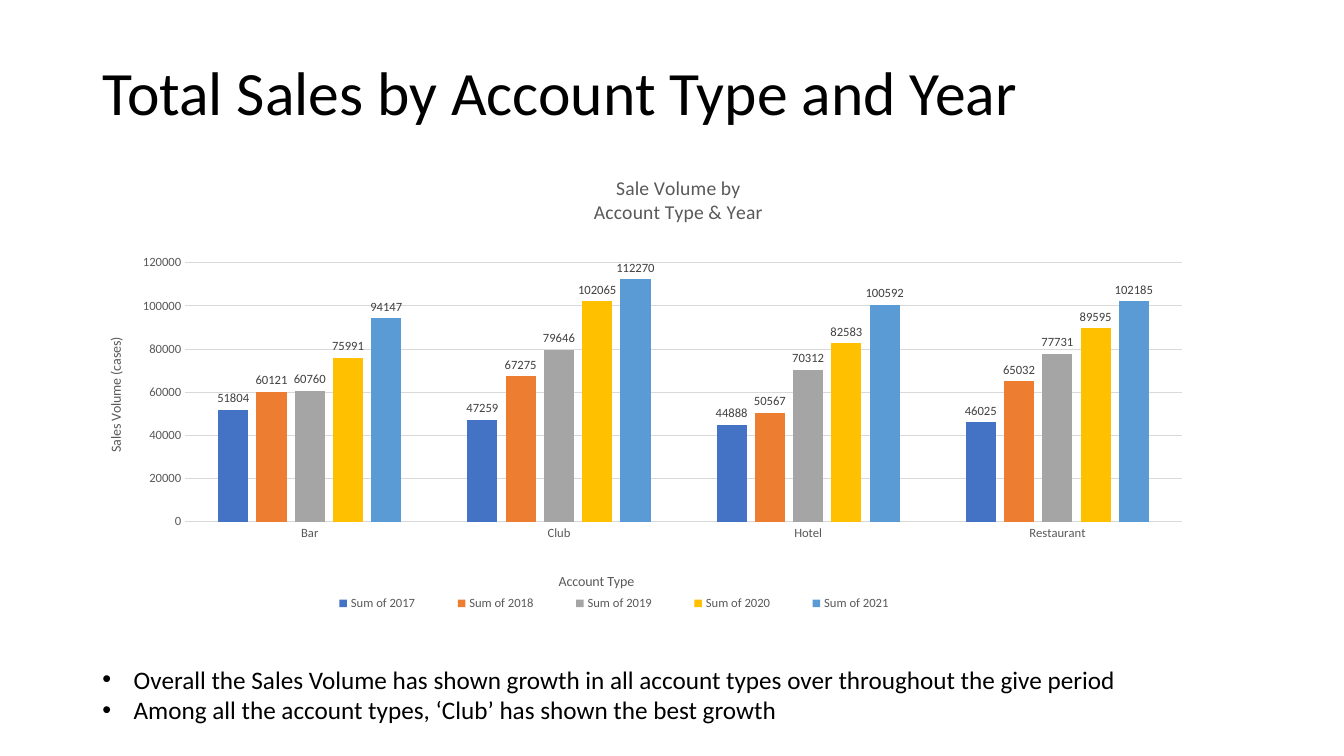
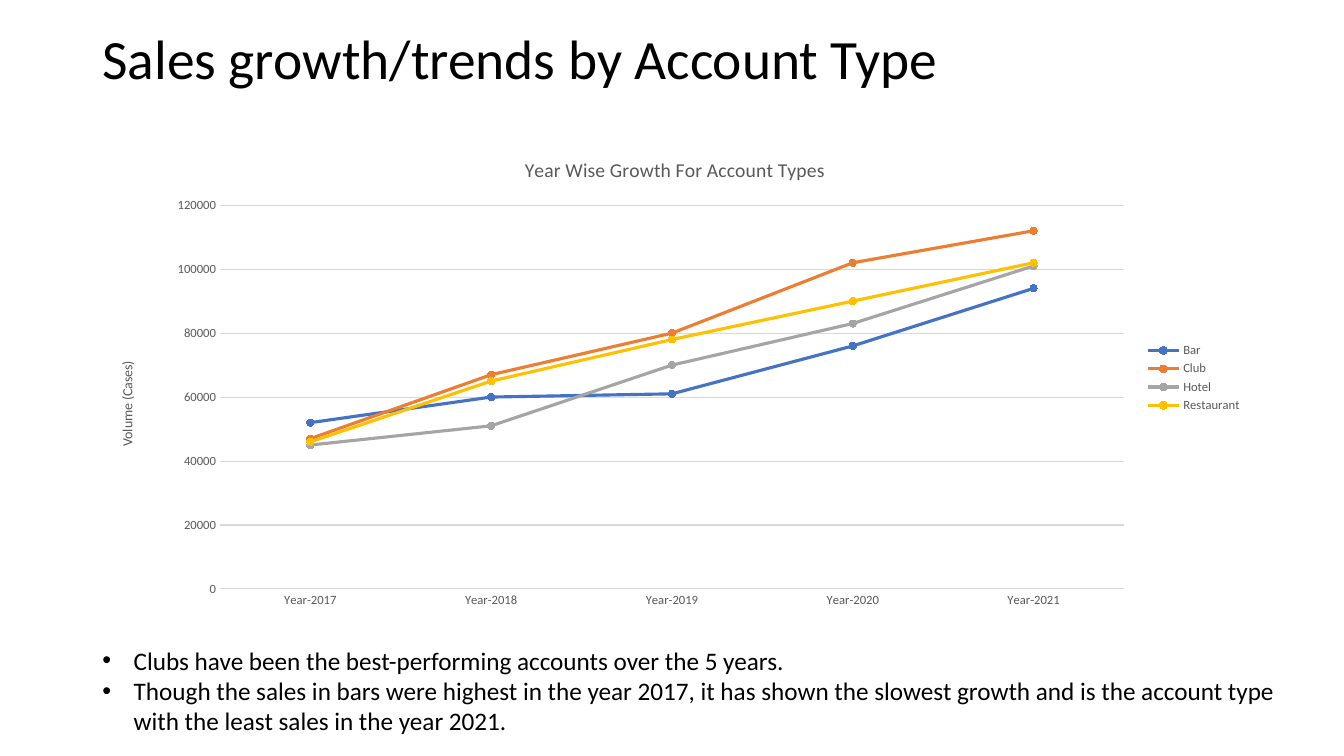
from lxml.etree import SubElement
from pptx import Presentation
from pptx.chart.data import CategoryChartData
from pptx.dml.color import RGBColor
from pptx.enum.chart import (XL_CHART_TYPE, XL_LABEL_POSITION,
                             XL_LEGEND_POSITION, XL_MARKER_STYLE, XL_TICK_MARK)
from pptx.enum.text import MSO_ANCHOR, MSO_AUTO_SIZE, PP_ALIGN
from pptx.oxml.ns import qn
from pptx.util import Cm, Pt

BLACK = RGBColor(0x00, 0x00, 0x00)
DARK = RGBColor(0x40, 0x40, 0x40)
GREY = RGBColor(0x59, 0x59, 0x59)
RULE = RGBColor(0xD9, 0xD9, 0xD9)
BLUE = RGBColor(0x44, 0x72, 0xC4)
ORANGE = RGBColor(0xED, 0x7D, 0x31)
SILVER = RGBColor(0xA5, 0xA5, 0xA5)
GOLD = RGBColor(0xFF, 0xC0, 0x00)
SKY = RGBColor(0x5B, 0x9B, 0xD5)
COLORS = [BLUE, ORANGE, SILVER, GOLD, SKY]

FONT = "Calibri"
LEFT = Cm(2.33)
WIDTH = Cm(29.21)

YEARS = [2017, 2018, 2019, 2020, 2021]
SALES = {
    "Bar": [51804, 60121, 60760, 75991, 94147],
    "Club": [47259, 67275, 79646, 102065, 112270],
    "Hotel": [44888, 50567, 70312, 82583, 100592],
    "Restaurant": [46025, 65032, 77731, 89595, 102185],
}


def style(font, size, color):
    font.name = FONT
    font.size = Pt(size)
    font.bold = False
    font.color.rgb = color


def place(node, spot, inner=False):
    """Set a chart part at fractions of the chart: x, y and maybe w, h."""
    for old in node.findall(qn("c:layout")):
        node.remove(old)
    after = node.find(qn("c:overlay"))
    index = 0 if after is None else node.index(after)
    layout = node.makeelement(qn("c:layout"))
    node.insert(index, layout)
    manual = SubElement(layout, qn("c:manualLayout"))
    pairs = [("layoutTarget", "inner")] if inner else []
    pairs += [("xMode", "edge"), ("yMode", "edge")]
    pairs += zip("xywh", spot)
    for tag, value in pairs:
        SubElement(manual, qn("c:" + tag)).set("val", str(value))


class Deck:
    def __init__(self):
        self.prs = Presentation()
        self.prs.slide_width = Cm(33.87)
        self.prs.slide_height = Cm(19.05)
        self.slide = None

    def title(self, text, top, size):
        """Start a slide with its title."""
        self.slide = self.prs.slides.add_slide(self.prs.slide_layouts[5])
        box = self.slide.shapes.title
        box.left, box.top, box.width, box.height = LEFT, top, WIDTH, Cm(2.82)
        frame = box.text_frame
        frame.auto_size = MSO_AUTO_SIZE.NONE
        frame.vertical_anchor = MSO_ANCHOR.MIDDLE
        para = frame.paragraphs[0]
        para.alignment = PP_ALIGN.LEFT
        para.line_spacing = 0.9
        run = para.add_run()
        run.text = text
        style(run.font, size, BLACK)

    def chart(self, kind, top, cats, series, plot):
        data = CategoryChartData()
        data.categories = cats
        for name, values in series:
            data.add_series(name, values)
        frame = self.slide.shapes.add_chart(kind, LEFT, top, WIDTH, Cm(12.09), data)
        chart = frame.chart
        style(chart.font, 10, BLACK)
        for axis in (chart.category_axis, chart.value_axis):
            axis.major_tick_mark = XL_TICK_MARK.NONE
            axis.minor_tick_mark = XL_TICK_MARK.NONE
            style(axis.tick_labels.font, 9, GREY)
        lines = chart.value_axis.major_gridlines.format.line
        for line in (chart.category_axis.format.line, lines):
            line.color.rgb = RULE
            line.width = Pt(0.75)
        chart.value_axis.format.line.fill.background()
        place(chart.plots[0]._element.getparent(), plot, inner=True)
        return chart

    def label(self, title, lines, size, spot, turn=False):
        """Fill a chart or axis title, one paragraph a line."""
        frame = title.text_frame
        for i, text in enumerate(lines):
            para = frame.add_paragraph() if i else frame.paragraphs[0]
            para.alignment = PP_ALIGN.CENTER
            run = para.add_run()
            run.text = text
            style(run.font, size, GREY)
        if turn:
            body = frame._txBody.bodyPr
            body.set("rot", "-5400000")
            body.set("vert", "horz")
        place(title._element, spot)

    def legend(self, chart, side, spot):
        chart.has_legend = True
        chart.legend.position = side
        chart.legend.include_in_layout = False
        style(chart.legend.font, 9, GREY)
        place(chart.legend._element, spot)

    def bullets(self, top, width, height, texts):
        box = self.slide.shapes.add_textbox(LEFT, top, width, height)
        frame = box.text_frame
        frame.word_wrap = True
        for i, text in enumerate(texts):
            para = frame.add_paragraph() if i else frame.paragraphs[0]
            props = para._p.get_or_add_pPr()
            props.set("marL", str(Cm(0.79)))
            props.set("indent", str(-Cm(0.79)))
            SubElement(props, qn("a:buFont")).set("typeface", "Arial")
            SubElement(props, qn("a:buChar")).set("char", "•")
            run = para.add_run()
            run.text = text
            style(run.font, 18, BLACK)


def totals(deck):
    deck.title("Total Sales by Account Type and Year", Cm(1.01), 44)
    series = [(f"Sum of {year}", values)
              for year, values in zip(YEARS, zip(*SALES.values()))]
    chart = deck.chart(XL_CHART_TYPE.COLUMN_CLUSTERED, Cm(3.84), list(SALES),
                       series, (0.08, 0.23, 0.86, 0.54))
    deck.label(chart.chart_title, ["Sale Volume by", "Account Type & Year"],
               14, (0.43, 0.04))
    deck.label(chart.category_axis.axis_title, ["Account Type"], 10, (0.4, 0.87))
    deck.label(chart.value_axis.axis_title, ["Sales Volume (cases)"],
               10, (0.01, 0.38), turn=True)
    deck.legend(chart, XL_LEGEND_POSITION.BOTTOM, (0.18, 0.91, 0.54, 0.06))
    plot = chart.plots[0]
    plot.gap_width = 219
    plot.overlap = -27
    plot.vary_by_categories = False
    for bars, color in zip(plot.series, COLORS):
        bars.format.fill.solid()
        bars.format.fill.fore_color.rgb = color
    plot.has_data_labels = True
    labels = plot.data_labels
    labels.show_value = True
    labels.position = XL_LABEL_POSITION.OUTSIDE_END
    style(labels.font, 9, DARK)
    deck.bullets(Cm(16.61), Cm(26.37), Cm(1.8), [
        "Overall the Sales Volume has shown growth in all account types "
        "over throughout the give period",
        "Among all the account types, ‘Club’ has shown the best growth",
    ])


def trends(deck):
    deck.title("Sales growth/trends by Account Type", Cm(0.15), 39.6)
    series = [(name, [round(value, -3) for value in values])
              for name, values in SALES.items()]
    chart = deck.chart(XL_CHART_TYPE.LINE_MARKERS, Cm(3.48),
                       [f"Year-{year}" for year in YEARS],
                       series, (0.11, 0.14, 0.78, 0.8))
    deck.label(chart.chart_title, ["Year Wise Growth For Account Types"],
               14, (0.37, 0.03))
    deck.label(chart.value_axis.axis_title, ["Volume (Cases)"],
               10, (0.02, 0.46), turn=True)
    deck.legend(chart, XL_LEGEND_POSITION.RIGHT, (0.9, 0.42, 0.1, 0.16))
    plot = chart.plots[0]
    plot.vary_by_categories = False
    for trend, color in zip(plot.series, COLORS):
        trend.smooth = False
        trend.format.line.color.rgb = color
        trend.format.line.width = Pt(2.25)
        mark = trend.marker
        mark.style = XL_MARKER_STYLE.CIRCLE
        mark.size = 5
        mark.format.fill.solid()
        mark.format.fill.fore_color.rgb = color
        mark.format.line.color.rgb = color
    deck.bullets(Cm(16.13), Cm(30.28), Cm(2.57), [
        "Clubs have been the best-performing accounts over the 5 years.",
        "Though the sales in bars were highest in the year 2017, it has shown "
        "the slowest growth and is the account type with the least sales "
        "in the year 2021.",
    ])


def main():
    deck = Deck()
    totals(deck)
    trends(deck)
    deck.prs.save("out.pptx")


if __name__ == "__main__":
    main()
